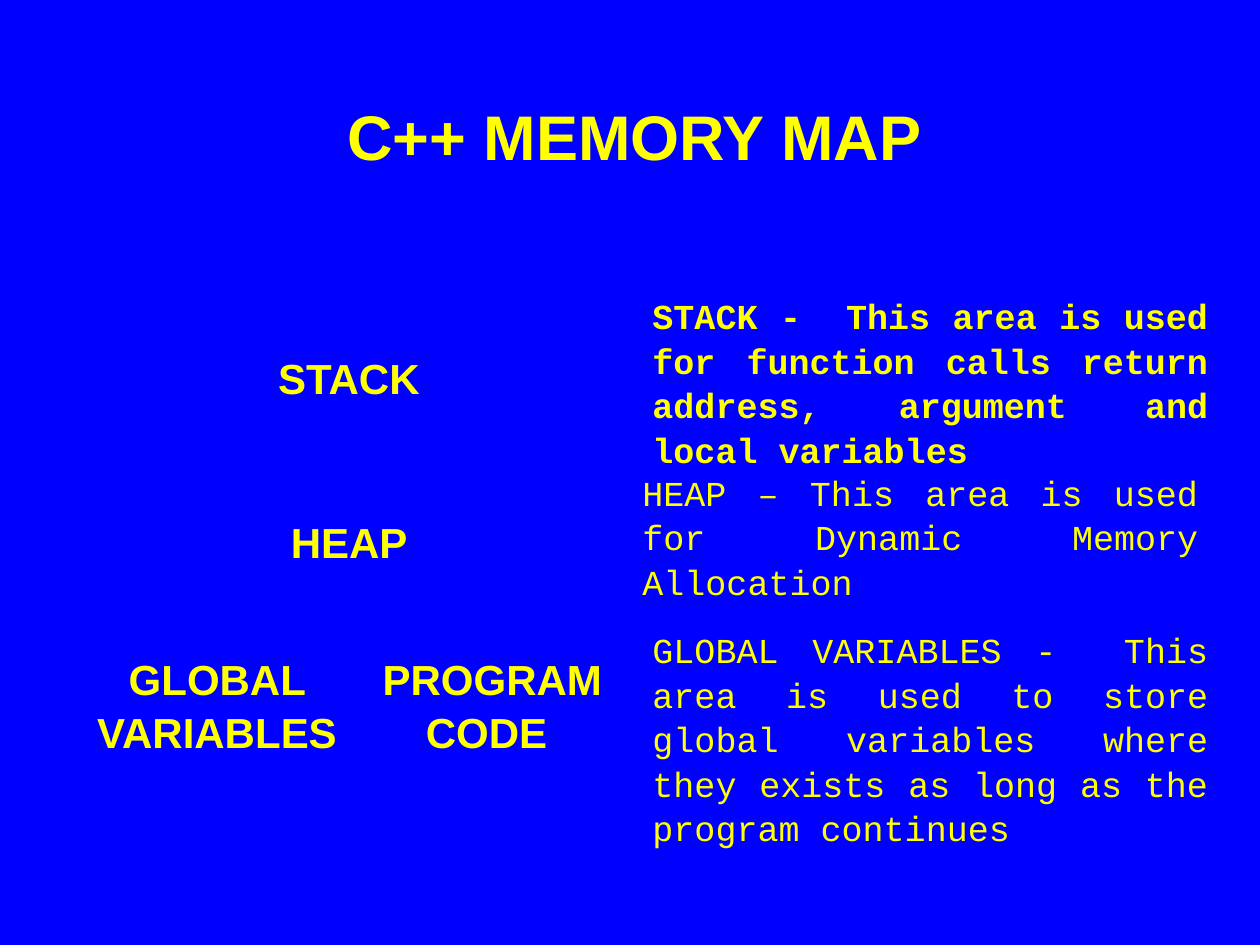
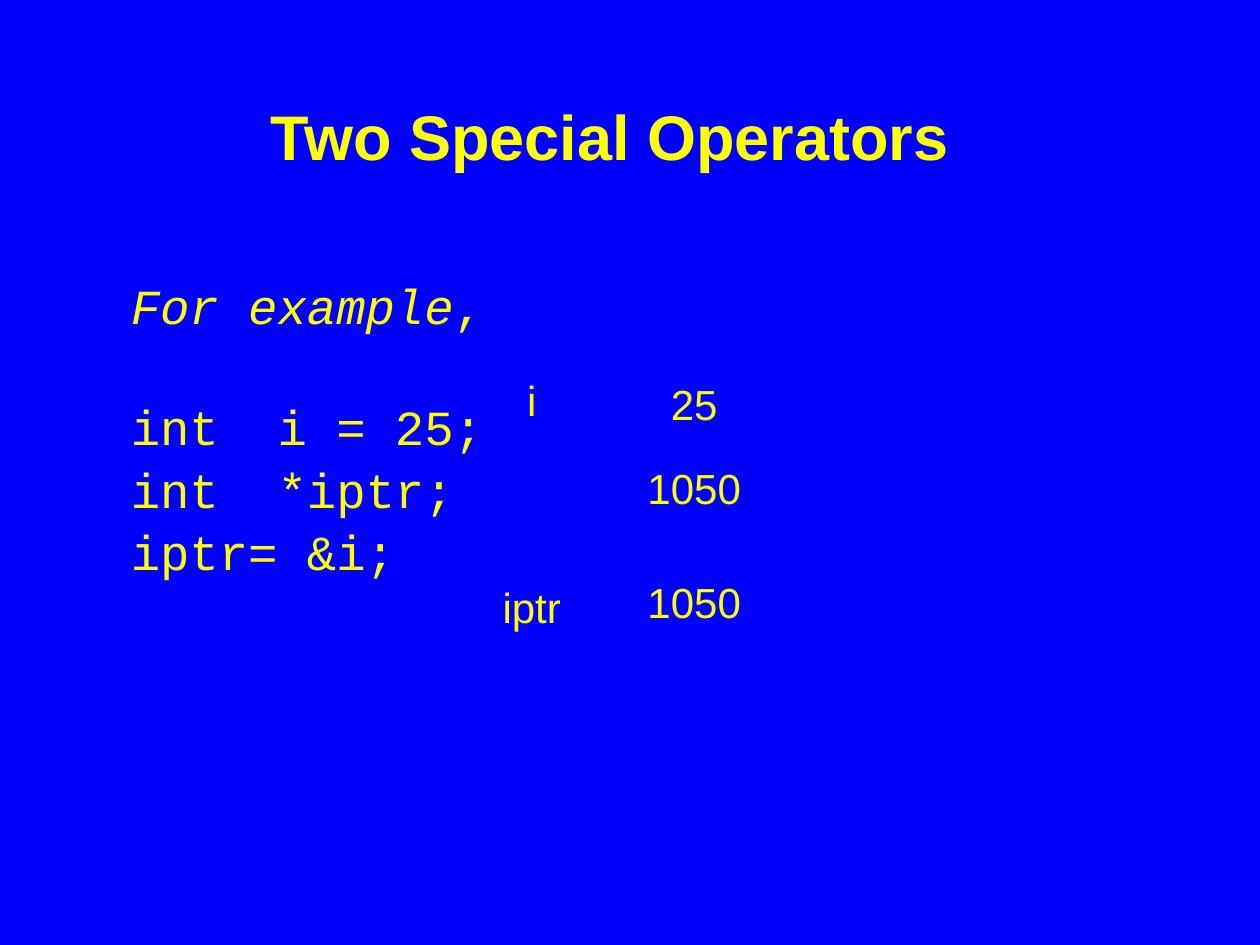
from pptx import Presentation
from pptx.dml.color import RGBColor
from pptx.enum import shapes, text
from pptx.util import Inches, Pt

BLUE = RGBColor(0x00, 0x00, 0xFF)
YELLOW = RGBColor(0xFF, 0xFF, 0x00)
SANS, MONO = "Arial", "Courier New"
LINE_SPACING = {SANS: 1.04, MONO: 1.06}
CENTER, JUSTIFY = text.PP_ALIGN.CENTER, text.PP_ALIGN.JUSTIFY

MAP_TITLE = ("C++ MEMORY MAP", (1.95, 0.55, 6.17, 1.02))
MAP_LEFT, MAP_TOP, MAP_WIDTH, ROW_HEIGHT = 0.63, 2.34, 4.37, 1.3
MEMORY_ROWS = [["STACK "], ["HEAP "], ["GLOBAL VARIABLES ", "PROGRAM CODE "]]
AREA_NOTES = [
    ("STACK -  This area is used for function calls return address, "
     "argument and local variables", (5.08, 2.27, 4.61, 1.1), True),
    ("HEAP – This area is used for Dynamic Memory Allocation",
     (5, 3.67, 4.61, 0.77), False),
    ("GLOBAL VARIABLES -  This area is used to store global variables "
     "where they exists as long as the program continues",
     (5.08, 4.92, 4.61, 1.44), False),
]

OPERATORS_TITLE = ("Two Special Operators", (1.09, 0.55, 7.5, 1.02))
CODE_AREA = (0.94, 2.11, 8.36, 2.9)
CODE_LINES = ["int  i = 25;", "int  *iptr;", "iptr= &i;"]
CELL_LEFT, CELL_WIDTH, CELL_HEIGHT = 4.61, 1.8, 0.94
NAME_LEFT, NAME_WIDTH, LABEL_HEIGHT = 3.75, 0.94, 0.39
CELLS = [("25", 2.73), ("1050", 4.3)]
LABELS = [
    ("i", NAME_LEFT, 2.97, NAME_WIDTH),
    ("1050", CELL_LEFT, CELLS[0][1] + CELL_HEIGHT, CELL_WIDTH),
    ("iptr", NAME_LEFT, 4.61, NAME_WIDTH),
]


def inches(area):
    return [Inches(length) for length in area]


def add_span(para, words, size, font=SANS, bold=False, italic=False):
    para.line_spacing = LINE_SPACING[font]
    span = para.add_run()
    span.text = words
    span.font.name = font
    span.font.size = Pt(size)
    span.font.bold = bold
    span.font.italic = italic
    span.font.color.rgb = YELLOW


def write_centered(box, words, size, bold=False):
    frame = box.text_frame
    frame.word_wrap = True
    frame.vertical_anchor = text.MSO_ANCHOR.MIDDLE
    para = frame.paragraphs[0]
    para.alignment = CENTER
    add_span(para, words, size, bold=bold)


def add_page(deck, title, area):
    page = deck.slides.add_slide(deck.slide_layouts[5])
    box = page.shapes.title
    box.left, box.top, box.width, box.height = inches(area)
    write_centered(box, title, 36, bold=True)
    return page


def add_cell(parent, words, area, bold=False):
    cell = parent.add_shape(shapes.MSO_SHAPE.RECTANGLE, *inches(area))
    cell.shadow.inherit = False
    cell.fill.background()
    cell.line.color.rgb = BLUE
    cell.line.width = Pt(2)
    write_centered(cell, words, 24, bold)


def add_growing_frame(page, area):
    frame = page.shapes.add_textbox(*inches(area)).text_frame
    frame.word_wrap = True
    frame.auto_size = text.MSO_AUTO_SIZE.SHAPE_TO_FIT_TEXT
    frame.paragraphs[0].alignment = JUSTIFY
    return frame


def build_memory_map(deck):
    page = add_page(deck, *MAP_TITLE)
    memory_map = page.shapes.add_group_shape()
    for row, names in enumerate(MEMORY_ROWS):
        width = MAP_WIDTH / len(names)
        for column, name in enumerate(names):
            area = (MAP_LEFT + column * width, MAP_TOP + row * ROW_HEIGHT,
                    width, ROW_HEIGHT)
            add_cell(memory_map.shapes, name, area, bold=True)
    for words, area, bold in AREA_NOTES:
        frame = add_growing_frame(page, area)
        add_span(frame.paragraphs[0], words, 20, MONO, bold)


def build_operators(deck):
    page = add_page(deck, *OPERATORS_TITLE)
    frame = add_growing_frame(page, CODE_AREA)
    add_span(frame.paragraphs[0], "For example", 28, MONO, italic=True)
    add_span(frame.paragraphs[0], ",", 28, MONO)
    for number, line in enumerate(CODE_LINES):
        para = frame.add_paragraph()
        para.alignment = JUSTIFY
        para.space_before = Pt(0 if number else 33.7)
        add_span(para, line, 28, MONO)
    for value, top in CELLS:
        add_cell(page.shapes, value, (CELL_LEFT, top, CELL_WIDTH, CELL_HEIGHT))
    for words, left, top, width in LABELS:
        box = page.shapes.add_textbox(*inches((left, top, width, LABEL_HEIGHT)))
        write_centered(box, words, 24)


def main():
    deck = Presentation()
    deck.slide_width, deck.slide_height = Inches(10), Inches(7.5)
    background = deck.slide_master.background.fill
    background.solid()
    background.fore_color.rgb = BLUE
    build_memory_map(deck)
    build_operators(deck)
    deck.save("out.pptx")


if __name__ == "__main__":
    main()
